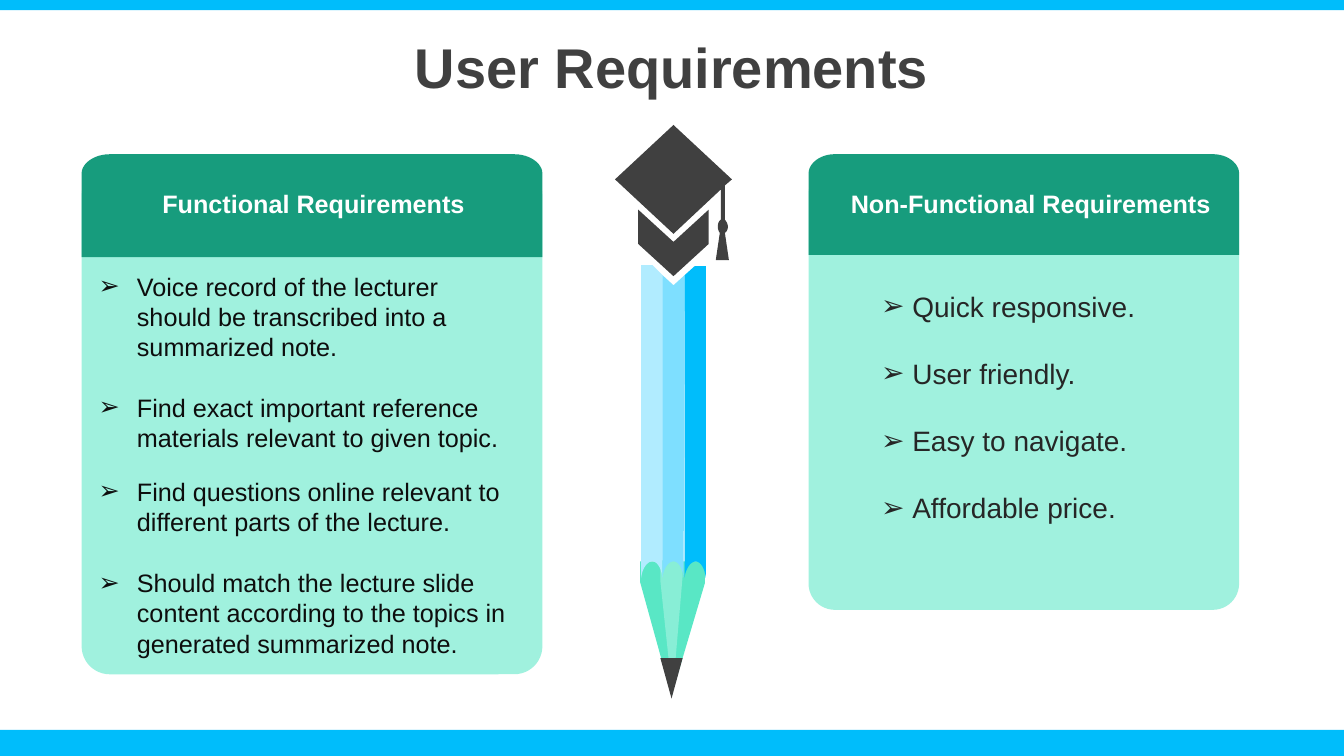
from dataclasses import dataclass

from lxml import etree
from pptx import Presentation
from pptx.dml.color import RGBColor
from pptx.enum.shapes import MSO_SHAPE
from pptx.enum.text import MSO_ANCHOR, MSO_AUTO_SIZE, PP_ALIGN
from pptx.oxml.ns import qn
from pptx.util import Inches, Pt

RECT, ROUND, CONE = MSO_SHAPE.RECTANGLE, MSO_SHAPE.ROUNDED_RECTANGLE, MSO_SHAPE.ISOSCELES_TRIANGLE
LEFT, MID = PP_ALIGN.LEFT, PP_ALIGN.CENTER


@dataclass(frozen=True)
class Theme:
    font: str = "Arial"
    dark: str = "404040"
    white: str = "FFFFFF"
    sky: str = "00BDFB"
    head: str = "179C7D"
    mint: str = "A0F1DE"
    wood: str = "59E7C5"
    grain: str = "88EED6"
    title: int = 40
    label: int = 18


T = Theme()
TITLE = "User Requirements"
BANDS = [(0, 0, 13.33, 0.1), (0, 7.24, 13.33, 0.26)]

# Each item is (text, points of space before)
CARDS = [
    dict(
        label="Non-Functional Requirements", align=LEFT,
        card=(8.02, 1.66, 4.27, 4.39), foot=2.53, curve=0.26,
        label_at=(8.34, 1.82, 3.87, 0.4), list_at=(8.64, 2.82, 2.96, 2.93),
        size=20, color="262626", indent=0.31,
        items=[("Quick responsive.", 0), ("User friendly.", 24),
               ("Easy to navigate.", 24), ("Affordable price.", 24)],
    ),
    dict(
        label="Functional Requirements", align=MID,
        card=(0.81, 1.66, 4.57, 5.03), foot=2.55, curve=0.28,
        label_at=(0.93, 1.82, 4.36, 0.41), list_at=(0.88, 2.64, 4.26, 4.44),
        size=18, color="0D0D0D", indent=0.38,
        items=[
            ("Voice record of the lecturer should be transcribed into a summarized note.", 0),
            ("Find exact important reference materials relevant to given topic.", 21.5),
            ("Find questions online relevant to different parts of the lecture.", 17),
            ("Should match the lecture slide content according to the topics in "
             "generated summarized note.", 22),
        ],
    ),
]

# Outlines: pairs are line ends, sixes are Bezier curves
WOOD = [(6.35, 5.57), (7, 5.57), (6.99, 5.79), (6.66, 6.9), (6.35, 5.78)]
GRAIN = [(6.55, 5.56), (6.77, 5.56), (6.77, 5.72), (6.67, 6.9), (6.55, 5.77)]
STRIPES = [  # left edge, top edge, colour
    (6.36, [(6.36, 2.63), (6.47, 2.63), (6.57, 2.73)], "B1ECFF"),
    (6.57, [(6.57, 2.73), (6.68, 2.83), (6.79, 2.73)], "7EDFFF"),
    (6.79, [(6.79, 2.73), (6.89, 2.64), (7, 2.64)], T.sky),
]
TIP = (6.55, 6.53, 0.22, 0.4)
BRIM = [(6.33, 2.08), (6.68, 2.4), (7.03, 2.08), (7.03, 2.42), (6.68, 2.74), (6.33, 2.42)]
BOARD = [
    (6.68, 1.24), (7.26, 1.78), (7.19, 1.84), (7.19, 2.18),
    (7.2, 2.19, 7.22, 2.22, 7.22, 2.25), (7.22, 2.27, 7.21, 2.3, 7.19, 2.31),
    (7.23, 2.58), (7.1, 2.58), (7.14, 2.31),
    (7.13, 2.3, 7.12, 2.27, 7.12, 2.25), (7.12, 2.22, 7.13, 2.19, 7.15, 2.18),
    (7.15, 1.88), (6.68, 2.32), (6.1, 1.78),
]


def inches(box):
    return [Inches(v) for v in box]


def paint(shape, color):
    shape.shadow.inherit = False
    shape.fill.solid()
    shape.fill.fore_color.rgb = RGBColor.from_string(color)
    shape.line.fill.background()
    return shape


def block(slide, kind, box, color):
    return paint(slide.shapes.add_shape(kind, *inches(box)), color)


def flatten(outline, steps=12):
    """Turn an outline with curves into plain points."""
    pts = []
    for part in outline:
        if len(part) == 2:
            pts.append(part)
            continue
        ctrl = [pts[-1], part[:2], part[2:4], part[4:]]
        for i in range(1, steps + 1):
            t = i / steps
            w = [(1 - t) ** 3, 3 * t * (1 - t) ** 2, 3 * t * t * (1 - t), t ** 3]
            pts.append(tuple(sum(k * p[a] for k, p in zip(w, ctrl)) for a in (0, 1)))
    return [inches(p) for p in pts]


def draw(slide, color, *outlines):
    first, *rest = [flatten(o) for o in outlines]
    pen = slide.shapes.build_freeform(*first[0])
    pen.add_line_segments(first[1:], close=True)
    for pts in rest:
        pen.move_to(*pts[0])
        pen.add_line_segments(pts[1:], close=True)
    paint(pen.convert_to_shape(), color)


def write(para, text, size, color, bold=False):
    run = para.add_run()
    run.text = text
    font = run.font
    font.name, font.size, font.bold = T.font, Pt(size), bold
    font.color.rgb = RGBColor.from_string(color)


def text_box(slide, box):
    frame = slide.shapes.add_textbox(*inches(box)).text_frame
    frame.word_wrap = True
    return frame


def bullet(para, indent):
    props = para._p.get_or_add_pPr()
    props.set("marL", str(Inches(indent)))
    props.set("indent", str(-Inches(indent)))
    etree.SubElement(props, qn("a:buFont")).set("typeface", T.font)
    etree.SubElement(props, qn("a:buChar")).set("char", "➢")


def add_card(slide, data):
    x, y, w, h = data["card"]
    block(slide, ROUND, data["card"], T.mint).adjustments[0] = 0.061
    top, foot, c, r = 1.53, data["foot"], data["curve"], x + w
    draw(slide, T.head, [
        (r - c, top), (x + c, top),
        (x + c * 0.45, top, x, top + 0.09, x, top + 0.19),
        (x, foot), (r, foot), (r, top + 0.19),
        (r, top + 0.09, r - c * 0.45, top, r - c, top),
    ])
    para = text_box(slide, data["label_at"]).paragraphs[0]
    para.alignment = data["align"]
    write(para, data["label"], T.label, T.white, True)
    frame = text_box(slide, data["list_at"])
    for i, (text, gap) in enumerate(data["items"]):
        para = frame.add_paragraph() if i else frame.paragraphs[0]
        bullet(para, data["indent"])
        if gap:
            para.space_before = Pt(gap)
        write(para, text, data["size"], data["color"])


def add_pencil(slide):
    draw(slide, T.wood, WOOD)
    draw(slide, T.grain, GRAIN)
    for x, edge, color in STRIPES:
        m, r, low, arch = x + 0.11, x + 0.21, 5.73, 5.57
        draw(slide, color, edge + [
            (r, low), (r - 0.01, 5.64, m + 0.05, arch, m, arch),
            (m - 0.05, arch, x + 0.01, 5.64, x, low),
        ])
    block(slide, CONE, TIP, T.dark).rotation = 180
    draw(slide, T.dark, BRIM, BOARD)


def add_title(slide):
    title = slide.shapes.title
    title.left, title.top, title.width, title.height = inches((0.33, 0.3, 12.66, 0.79))
    frame = title.text_frame
    frame.auto_size = MSO_AUTO_SIZE.NONE
    frame.vertical_anchor = MSO_ANCHOR.MIDDLE
    para = frame.paragraphs[0]
    para.alignment, para.line_spacing = MID, 0.9
    write(para, TITLE, T.title, T.dark, True)


def main():
    deck = Presentation()
    deck.slide_width, deck.slide_height = Inches(13.33), Inches(7.5)
    slide = deck.slides.add_slide(deck.slide_layouts[5])
    for band in BANDS:
        block(slide, RECT, band, T.sky)
    add_title(slide)
    add_card(slide, CARDS[0])
    add_pencil(slide)
    add_card(slide, CARDS[1])
    deck.save("out.pptx")


if __name__ == "__main__":
    main()
